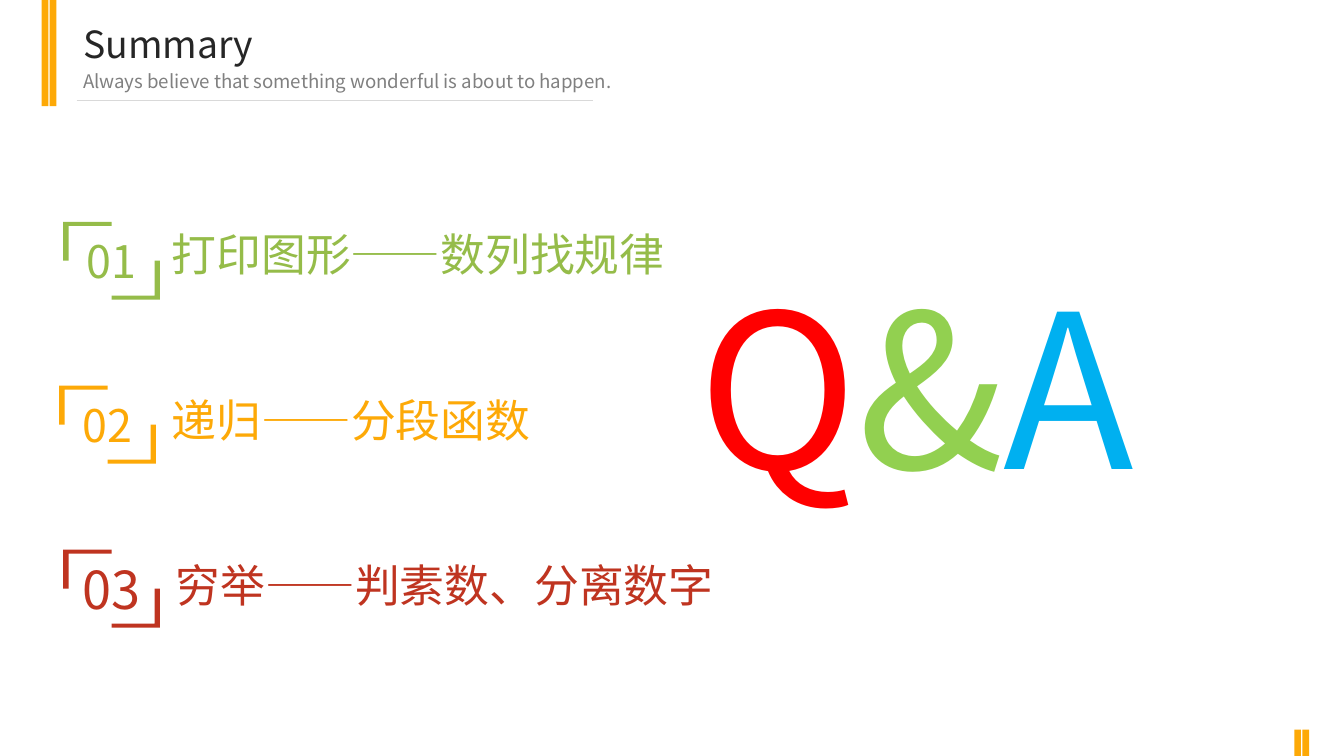
import pptx
import pptx.dml.color
import pptx.enum.shapes
import pptx.enum.text
import pptx.util
import lxml.etree

RGBColor = pptx.dml.color.RGBColor
Inches = pptx.util.Inches
MSO_ANCHOR = pptx.enum.text.MSO_ANCHOR
PP_ALIGN = pptx.enum.text.PP_ALIGN

AMBER = RGBColor(0xFD, 0xA9, 0x07)
LEAF = RGBColor(0x95, 0xBC, 0x49)
BRICK = RGBColor(0xBF, 0x34, 0x20)
INK = RGBColor(0x26, 0x26, 0x26)
GREY = RGBColor(0x80, 0x80, 0x80)
RULE = RGBColor(0xD9, 0xD9, 0xD9)
RED = RGBColor(0xFF, 0x00, 0x00)
GREEN = RGBColor(0x92, 0xD0, 0x50)
BLUE = RGBColor(0x00, 0xB0, 0xF0)

FONT = "Noto Sans CJK SC"
WIDTH = 10
HEIGHT = WIDTH * 9 / 16

HEADINGS = [
    ("Summary", 0.11, 20, INK),
    ("Always believe that something wonderful is about to happen.", 0.47, 10, GREY),
]
TOPICS = [
    ("01", 24, "打印图形——数列找规律", LEAF, 0.47, 1.18, 4.56),
    ("02", 24, "递归——分段函数", AMBER, 0.44, 1.18, 3.98),
    ("03", 28, "穷举——判素数、分离数字", BRICK, 0.47, 1.21, 4.28),
]
CLOSING = [("Q", RED), ("&", GREEN), ("A", BLUE)]

STRIPE_WIDTH, STRIPE_PITCH = 0.05, 0.06
STRIPE_PAIRS = [(0.31, 0, 0.79), (9.63, 5.43, 0.2)]
FIRST_ROW, ROW_PITCH = 1.65, 1.22
LABEL_FIRST_ROW, LABEL_PITCH = 1.64, 1.23
BRACKET_WIDTH, BRACKET_HEIGHT = 0.72, 0.58
UPRIGHT, BAR = 0.04, 0.03


def write(frame, runs, size, align=PP_ALIGN.LEFT, anchor=MSO_ANCHOR.TOP):
    frame.word_wrap = True
    frame.vertical_anchor = anchor
    paragraph = frame.paragraphs[0]
    paragraph.alignment = align
    for text, color in runs:
        run = paragraph.add_run()
        run.text = text
        run.font.size = pptx.util.Pt(size)
        run.font.name = FONT
        run.font.color.rgb = color
        latin = run.font._element.find(pptx.oxml.ns.qn("a:latin"))
        east_asian = lxml.etree.Element(pptx.oxml.ns.qn("a:ea"), typeface=FONT)
        latin.addnext(east_asian)


def add_text(slide, box, runs, size):
    frame = slide.shapes.add_textbox(*map(Inches, box)).text_frame
    write(frame, runs, size)
    frame.auto_size = pptx.enum.text.MSO_AUTO_SIZE.SHAPE_TO_FIT_TEXT


def paint(shape, color):
    shape.shadow.inherit = False
    shape.fill.solid()
    shape.fill.fore_color.rgb = color
    shape.line.fill.background()


def add_bracket(slide, left, top, color):
    w, h = BRACKET_WIDTH, BRACKET_HEIGHT
    upper = [(0, 0), (w / 2, 0), (w / 2, BAR), (UPRIGHT, BAR),
             (UPRIGHT, h / 2), (0, h / 2)]
    lower = [(w - x, h - y) for x, y in upper]
    corners = [[(Inches(left + x), Inches(top + y)) for x, y in corner]
               for corner in (lower, upper)]
    builder = slide.shapes.build_freeform(*corners[0][0])
    builder.add_line_segments(corners[0][1:], close=True)
    builder.move_to(*corners[1][0])
    builder.add_line_segments(corners[1][1:], close=True)
    bracket = builder.convert_to_shape()
    paint(bracket, color)
    return bracket


def main():
    deck = pptx.Presentation()
    deck.slide_width, deck.slide_height = Inches(WIDTH), Inches(HEIGHT)
    slide = deck.slides.add_slide(deck.slide_layouts[6])

    for left, top, height in STRIPE_PAIRS:
        for column in range(2):
            stripe = slide.shapes.add_shape(
                pptx.enum.shapes.MSO_SHAPE.RECTANGLE,
                Inches(left + column * STRIPE_PITCH), Inches(top),
                Inches(STRIPE_WIDTH), Inches(height))
            paint(stripe, AMBER)

    underline = slide.shapes.add_connector(
        pptx.enum.shapes.MSO_CONNECTOR.STRAIGHT,
        Inches(0.57), Inches(0.75), Inches(4.41), Inches(0.75))
    underline.line.color.rgb = RULE
    underline.line.width = pptx.util.Pt(0.75)
    lxml.etree.SubElement(underline._element.spPr, pptx.oxml.ns.qn("a:effectLst"))

    for text, top, size, color in HEADINGS:
        add_text(slide, (0.52, top, 4.23, 0.44), [(text, color)], size)

    for row, topic in enumerate(TOPICS):
        number, number_size, label, color, bracket_left, label_left, label_width = topic
        label_top = LABEL_FIRST_ROW + row * LABEL_PITCH
        add_text(slide, (label_left, label_top, label_width, 0.5), [(label, color)], 24)
        bracket = add_bracket(slide, bracket_left, FIRST_ROW + row * ROW_PITCH, color)
        write(bracket.text_frame, [(number, color)], number_size,
              align=PP_ALIGN.CENTER, anchor=MSO_ANCHOR.MIDDLE)

    add_text(slide, (5.1, 1.85, 4.28, 2.04), CLOSING, 115)
    deck.save("out.pptx")


if __name__ == "__main__":
    main()
